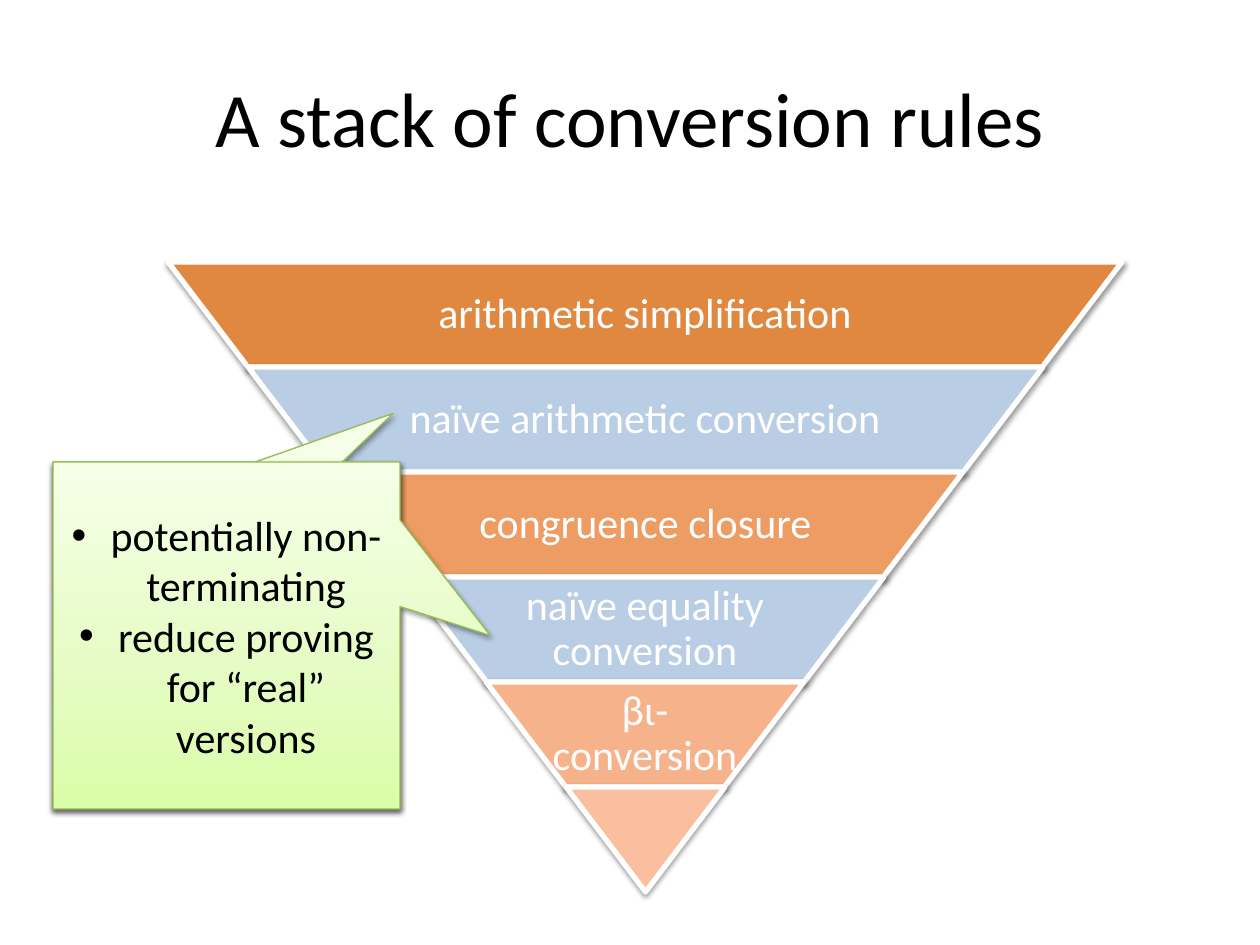
from copy import deepcopy

from lxml.etree import SubElement
from pptx import Presentation
from pptx.dml.color import RGBColor
from pptx.enum.shapes import MSO_SHAPE
from pptx.enum.text import MSO_ANCHOR, PP_ALIGN
from pptx.oxml.ns import qn
from pptx.util import Emu, Pt

COLORS = {
    "text": "000000",
    "white": "FFFFFF",
    "arithmetic": "E08840",
    "naive": "B9CDE5",
    "congruence": "ED9C63",
    "conversion": "F6B28B",
    "tip": "FABF9F",
    "note_line": "98B955",
    "note_low": "DAFDA7",
    "note_middle": "E4FCC2",
    "note_high": "F5FFE7",
}
LAYERS = [
    ("arithmetic simplification", "arithmetic"),
    ("naïve arithmetic conversion", "naive"),
    ("congruence closure", "congruence"),
    ("naïve equality conversion", "naive"),
    ("βι-conversion", "conversion"),
    ("", "tip"),
]
NOTES = ["potentially non-terminating", "reduce proving for “real” versions"]
NOTE_GRADIENT = [(0, "note_low"), (0.35, "note_middle"), (1, "note_high")]
CENTER, TOP, LAYER_HEIGHT, TIP_WIDTH = 645, 262, 105, 159


def px(length):
    return Emu(round(length * 914400 / 126))


def rgb(name):
    return RGBColor.from_string(COLORS[name])


class SlideBuilder:
    """Holds the style and the current slide and draws each kind of element."""

    font = "Calibri"

    def __init__(self, presentation):
        self.slide = presentation.slides.add_slide(presentation.slide_layouts[6])

    def add_lines(self, shape, lines, size, color, spacing=None, bullet=False):
        frame = shape.text_frame
        frame.word_wrap = True
        frame.vertical_anchor = MSO_ANCHOR.MIDDLE
        for index, line in enumerate(lines):
            paragraph = frame.add_paragraph() if index else frame.paragraphs[0]
            paragraph.alignment = PP_ALIGN.CENTER
            if spacing:
                paragraph.line_spacing = spacing
            if bullet:
                properties = paragraph._p.get_or_add_pPr()
                properties.set("marL", str(px(39)))
                properties.set("indent", str(-px(39)))
                SubElement(properties, qn("a:buFont"), typeface="Arial")
                SubElement(properties, qn("a:buChar"), char="•")
            run = paragraph.add_run()
            run.text = line
            run.font.name = self.font
            run.font.size = Pt(size)
            run.font.color.rgb = rgb(color)

    def text(self, box, line, size, color, inset=None, spacing=None):
        shape = self.slide.shapes.add_textbox(*map(px, box))
        if inset is not None:
            frame = shape.text_frame
            frame.margin_left = frame.margin_right = px(inset)
            frame.margin_top = frame.margin_bottom = px(inset)
        self.add_lines(shape, [line], size, color, spacing)

    def shape(self, kind, box, adjustments, line, width):
        shape = self.slide.shapes.add_shape(kind, *map(px, box))
        for index, value in enumerate(adjustments):
            shape.adjustments[index] = value
        shape.line.color.rgb = rgb(line)
        shape.line.width = Pt(width)
        self.shadow(shape)
        return shape

    def shadow(self, shape):
        shape.shadow.inherit = False
        effects = shape._element.spPr.find(qn("a:effectLst"))
        outer = SubElement(effects, qn("a:outerShdw"), blurRad=str(Pt(3.1)),
                           dist=str(Pt(1.6)), dir="5400000", rotWithShape="0")
        color = SubElement(outer, qn("a:srgbClr"), val=COLORS["text"])
        SubElement(color, qn("a:alpha"), val="38000")

    def layer(self, box, fill):
        shape = self.shape(MSO_SHAPE.TRAPEZOID, box, [0.76], "white", 3)
        shape.rotation = 180
        shape.fill.solid()
        shape.fill.fore_color.rgb = rgb(fill)

    def callout(self, box, pointer, lines=()):
        shape = self.shape(MSO_SHAPE.RECTANGULAR_CALLOUT, box, pointer, "note_line", 0.75)
        shape.fill.gradient()
        shape.fill.gradient_angle = 90
        stops = shape._element.spPr.find(qn("a:gradFill")).find(qn("a:gsLst"))
        stops.insert(1, deepcopy(stops[0]))
        for stop, (position, color) in zip(shape.fill.gradient_stops, NOTE_GRADIENT):
            stop.position = position
            stop.color.rgb = rgb(color)
        self.add_lines(shape, lines, 24, "text", bullet=True)


def main():
    presentation = Presentation()
    presentation.slide_width, presentation.slide_height = px(1260), px(945)
    builder = SlideBuilder(presentation)
    builder.text((63, 38, 1134, 157), "A stack of conversion rules", 44, "text")

    for index, (label, fill) in enumerate(LAYERS):
        width = TIP_WIDTH * (len(LAYERS) - index)
        top = TOP + LAYER_HEIGHT * index
        builder.layer((CENTER - width // 2, top, width, LAYER_HEIGHT), fill)
        if label:
            label_width = width * 13 // 20
            box = (CENTER - label_width // 2, top, label_width, LAYER_HEIGHT)
            builder.text(box, label, 24, "white", inset=4, spacing=0.9)

    note_box = (53, 462, 347, 347)
    builder.callout(note_box, (0.48, -0.64))
    builder.callout(note_box, (0.76, 0), NOTES)
    presentation.save("out.pptx")


if __name__ == "__main__":
    main()
